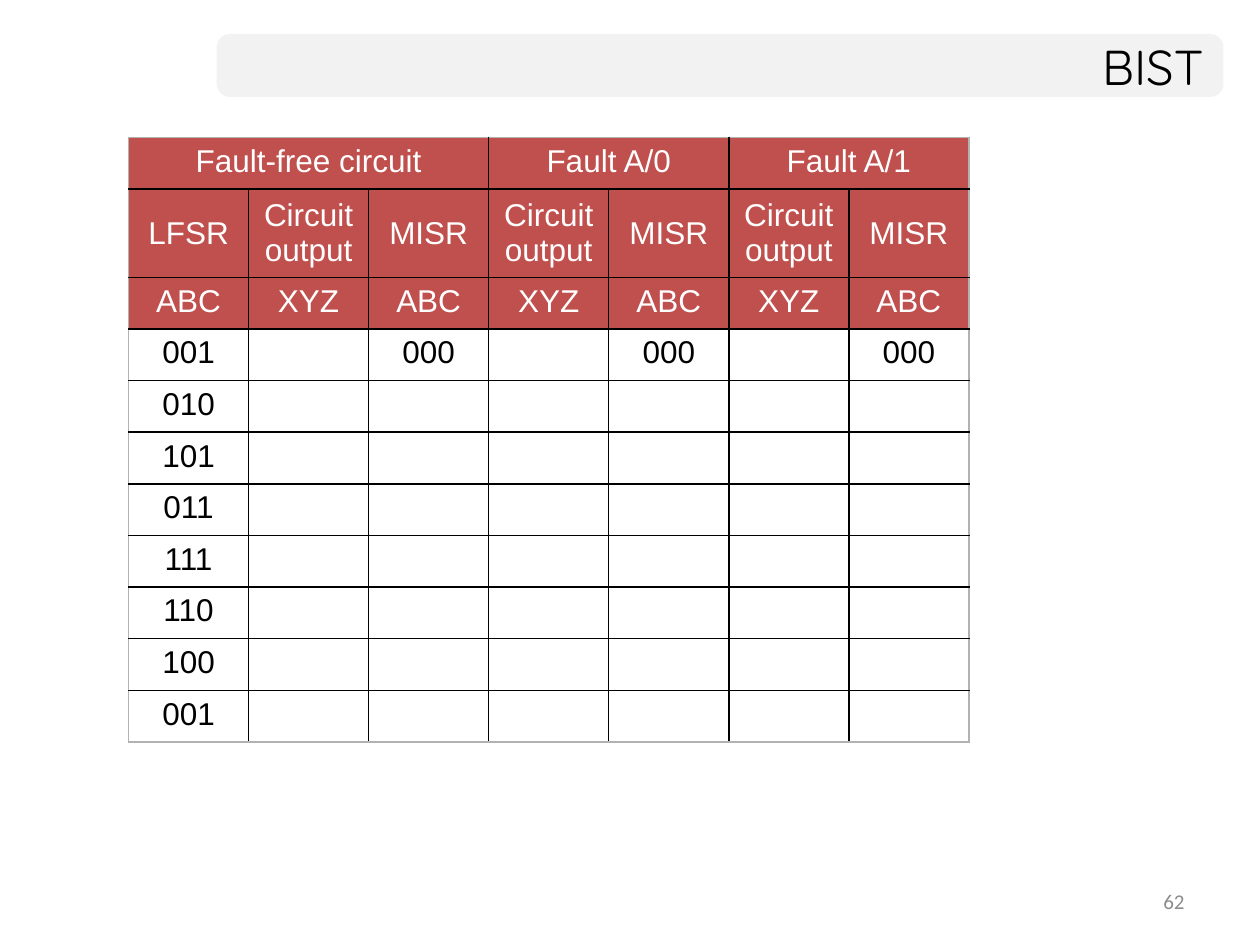
from lxml import etree
from pptx import Presentation
from pptx.dml.color import RGBColor
from pptx.enum.shapes import MSO_SHAPE
from pptx.enum.text import MSO_ANCHOR, PP_ALIGN
from pptx.oxml.ns import qn
from pptx.util import Inches, Pt

COLORS = {
    "bar": "F2F2F2",
    "header": "C0504D",
    "body": "FFFFFF",
    "light": "FFFFFF",
    "dark": "000000",
    "number": "8C8C8C",
    "frame": "B2B2B2",
}


def write(target, text, size=18, font="Arial", color="dark", align=PP_ALIGN.CENTER):
    paragraph = target.text_frame.paragraphs[0]
    paragraph.alignment = align
    run = paragraph.add_run()
    run.text = text
    run.font.size = Pt(size)
    run.font.name = font
    run.font.color.rgb = RGBColor.from_string(COLORS[color])


def add_border(cell, side, color):
    line = etree.SubElement(cell._tc.get_or_add_tcPr(), qn(f"a:ln{side}"), w=str(Pt(1)))
    fill = etree.SubElement(line, qn("a:solidFill"))
    etree.SubElement(fill, qn("a:srgbClr"), val=COLORS[color])


prs = Presentation()
prs.slide_width, prs.slide_height = Inches(10), Inches(7.5)
slide = prs.slides.add_slide(prs.slide_layouts[5])

bar = slide.shapes.add_shape(
    MSO_SHAPE.ROUNDED_RECTANGLE, Inches(1.72), Inches(0.27), Inches(7.99), Inches(0.5)
)
bar.adjustments[0] = 0.21
bar.shadow.inherit = False
bar.fill.solid()
bar.fill.fore_color.rgb = RGBColor.from_string(COLORS["bar"])
bar.line.fill.background()
slide.shapes._spTree.insert(2, bar._element)

title = slide.shapes.title
title.left, title.top = Inches(1.72), Inches(0.27)
title.width, title.height = Inches(7.93), Inches(0.5)
title.text_frame.vertical_anchor = MSO_ANCHOR.MIDDLE
write(title, "BIST", size=28, font="Quicksand", align=PP_ALIGN.RIGHT)

page = slide.shapes.add_textbox(Inches(7.17), Inches(6.95), Inches(2.33), Inches(0.4))
page.text_frame.word_wrap = True
page.text_frame.vertical_anchor = MSO_ANCHOR.MIDDLE
write(page, "62", size=12, font="Calibri", color="number", align=PP_ALIGN.RIGHT)

headers = [
    ["Fault-free circuit", "", "", "Fault A/0", "", "Fault A/1", ""],
    ["LFSR"] + ["Circuit output", "MISR"] * 3,
    ["ABC"] + ["XYZ", "ABC"] * 3,
]
states = ["001", "010", "101", "011", "111", "110", "100", "001"]
rows = headers + [[state] + [""] * 6 for state in states]
rows[3][2::2] = ["000"] * 3
last_row, last_col = len(rows) - 1, 6

table = slide.shapes.add_table(
    len(rows), 7, Inches(1.02), Inches(1.09), Inches(6.67), Inches(4.76)
).table
table.first_row = table.horz_banding = False
for column in table.columns:
    column.width = Inches(6.67 / 7)
for row in table.rows:
    row.height = Inches(0.41)
table.rows[1].height = Inches(0.66)
for first, last in [(0, 2), (3, 4), (5, 6)]:
    table.cell(0, first).merge(table.cell(0, last))

for r, texts in enumerate(rows):
    is_header = r < len(headers)
    for c, text in enumerate(texts):
        cell = table.cell(r, c)
        if cell.is_spanned:
            continue
        right_col = c + cell.span_width - 1
        outer = {"L": c == 0, "R": right_col == last_col, "T": r == 0, "B": r == last_row}
        for side, is_outer in outer.items():
            add_border(cell, side, "frame" if is_outer else "dark")
        cell.fill.solid()
        cell.fill.fore_color.rgb = RGBColor.from_string(COLORS["header" if is_header else "body"])
        if r == 1:
            cell.vertical_anchor = MSO_ANCHOR.MIDDLE
        if text:
            write(cell, text, color="light" if is_header else "dark")

prs.save("out.pptx")
